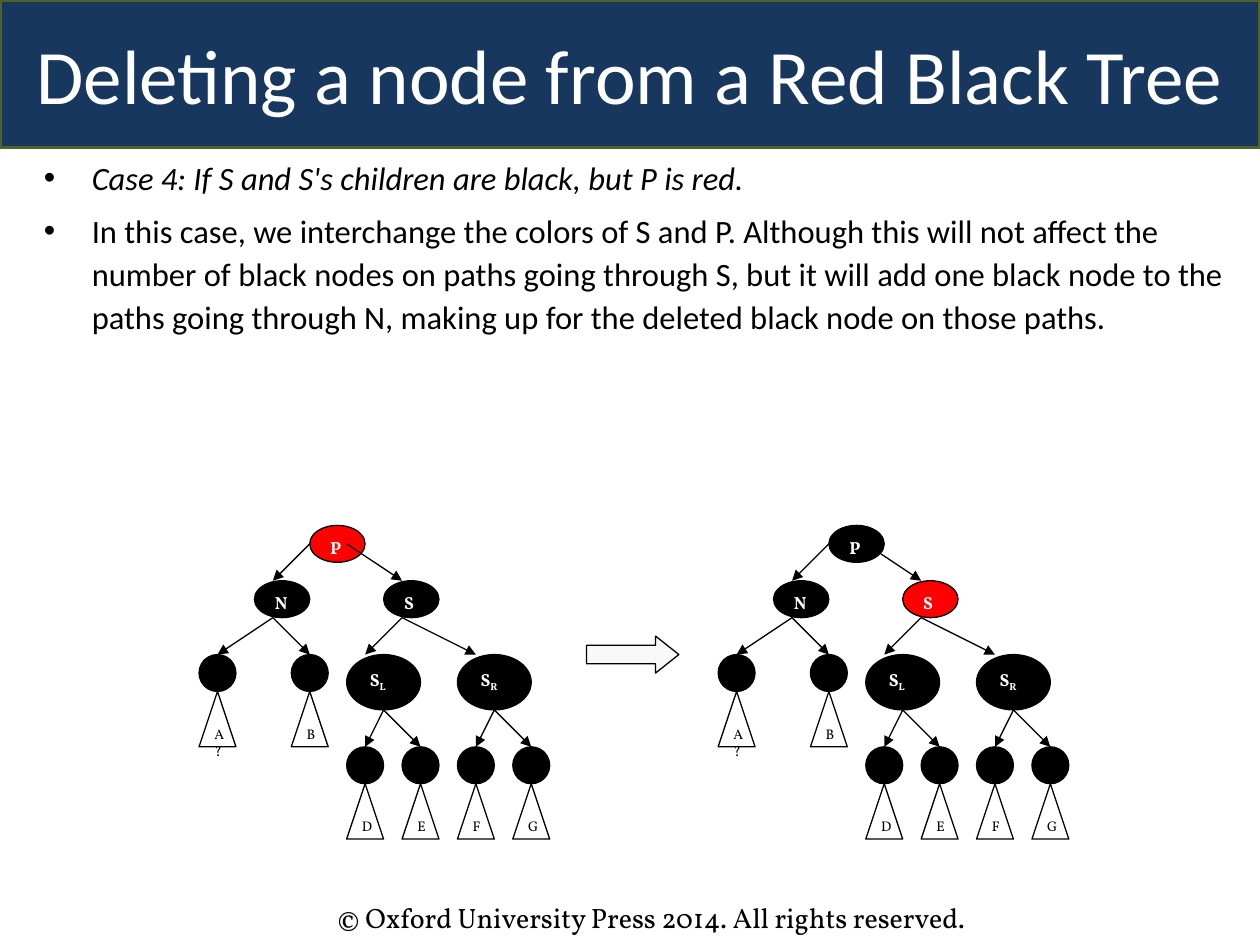
from lxml.etree import SubElement
from pptx import Presentation
from pptx.dml.color import RGBColor
from pptx.enum.shapes import MSO_CONNECTOR, MSO_SHAPE
from pptx.enum.text import MSO_ANCHOR, MSO_AUTO_SIZE, PP_ALIGN
from pptx.oxml.ns import qn
from pptx.util import Inches, Pt

TITLE = "Deleting a node from a Red Black Tree"
BULLETS = [
    ("Case 4: If S and S's children are black, but P is red.", True),
    ("In this case, we interchange the colors of S and P. Although this will not "
     "affect the number of black nodes on paths going through S, but it will add "
     "one black node to the paths going through N, making up for the deleted "
     "black node on those paths.", False),
]
FOOTER = "© Oxford University Press 2014. All rights reserved."

COLORS = {"banner": "17375E", "border": "4F6228", "black": "000000",
          "white": "FFFFFF", "red": "FF0000", "arrow": "F8F8F8"}

NODES = [
    ("P", "", 6, 0, 3, 2),
    ("N", "", 3, 3, 3, 2),
    ("S", "", 10, 3, 3, 2),
    ("S", "L", 8, 7, 4, 3),
    ("S", "R", 14, 7, 4, 3),
]
LEAVES = [("A?", 0, 7), ("B", 5, 7),
          ("D", 8, 12), ("E", 11, 12), ("F", 14, 12), ("G", 17, 12)]
EDGES = [
    ((6, 1), (4, 3)), ((8, 1), (11, 3)),
    ((4, 5), (1, 7)), ((4, 5), (6, 7)),
    ((11, 5), (9, 7)), ((11, 5), (15, 7)),
    ((10, 10), (9, 12)), ((10, 10), (12, 12)),
    ((16, 10), (15, 12)), ((16, 10), (18, 12)),
]
TREES = [(1.58, "P"), (5.7, "S")]
TOP = 4.17
CELL = 2.49 / 17


def rgb(name):
    return RGBColor.from_string(COLORS[name])


def style_font(paragraph, size, face, color, bold=False, italic=False):
    font = paragraph.font
    font.size, font.name = Pt(size), face
    font.bold, font.italic = bold, italic
    font.color.rgb = rgb(color)


def paint(shape, fill, line="black", width=0.75):
    shape.fill.solid()
    shape.fill.fore_color.rgb = rgb(fill)
    shape.line.color.rgb = rgb(line)
    shape.line.width = Pt(width)


def grid_point(left, col, row):
    return Inches(left + col * CELL), Inches(TOP + row * CELL)


def add_cell_shape(slide, kind, left, col, row, cols, rows, fill):
    shape = slide.shapes.add_shape(kind, *grid_point(left, col, row),
                                   Inches(cols * CELL), Inches(rows * CELL))
    shape.shadow.inherit = False
    paint(shape, fill)
    return shape


def label(shape, text, size, color, bold=False, subscript=""):
    shape.text_frame.vertical_anchor = MSO_ANCHOR.TOP
    paragraph = shape.text_frame.paragraphs[0]
    paragraph.alignment = PP_ALIGN.LEFT
    paragraph.add_run().text = text
    if subscript:
        run = paragraph.add_run()
        run.text = subscript
        run._r.get_or_add_rPr().set("baseline", "-25000")
    style_font(paragraph, size, "Vollkorn", color, bold)


def add_edge(slide, left, start, end):
    edge = slide.shapes.add_connector(MSO_CONNECTOR.STRAIGHT,
                                      *grid_point(left, *start), *grid_point(left, *end))
    edge.line.color.rgb = rgb("black")
    edge.line.width = Pt(0.75)
    SubElement(edge.line._get_or_add_ln(), qn("a:tailEnd"), type="triangle")
    SubElement(edge._element.spPr, qn("a:effectLst"))


def add_tree(slide, left, red_node):
    for name, subscript, *place in NODES:
        fill = "red" if name == red_node and not subscript else "black"
        node = add_cell_shape(slide, MSO_SHAPE.OVAL, left, *place, fill)
        label(node, name, 10, "white", True, subscript)
    for name, col, row in LEAVES:
        add_cell_shape(slide, MSO_SHAPE.OVAL, left, col, row, 2, 2, "black")
        subtree = add_cell_shape(slide, MSO_SHAPE.FLOWCHART_EXTRACT,
                                 left, col, row + 2, 2, 3, "white")
        label(subtree, name, 8, "black")
    for start, end in EDGES:
        add_edge(slide, left, start, end)


def add_title(slide, width):
    title = slide.shapes.title
    title.left, title.top, title.width, title.height = 0, 0, width, Inches(1.17)
    paint(title, "banner", "border", 2)
    title.text = TITLE
    title.text_frame.auto_size = MSO_AUTO_SIZE.NONE
    title.text_frame.vertical_anchor = MSO_ANCHOR.MIDDLE
    paragraph = title.text_frame.paragraphs[0]
    paragraph.alignment = PP_ALIGN.CENTER
    style_font(paragraph, 44, "Calibri", "white")


def add_text(slide, left, top, width, height):
    frame = slide.shapes.add_textbox(*map(Inches, (left, top, width, height))).text_frame
    frame.word_wrap = True
    return frame


def add_bullets(slide):
    frame = add_text(slide, 0.25, 1.17, 9.58, 1.58)
    for index, (text, italic) in enumerate(BULLETS):
        paragraph = frame.add_paragraph() if index else frame.paragraphs[0]
        paragraph.text = text
        paragraph.line_spacing = 1.1
        paragraph.space_before = Pt(6 if index else 0)
        properties = paragraph._p.get_or_add_pPr()
        properties.set("marL", str(Inches(0.38)))
        properties.set("indent", str(-Inches(0.38)))
        SubElement(properties, qn("a:buFont"), typeface="Arial")
        SubElement(properties, qn("a:buChar"), char="•")
        style_font(paragraph, 18.6, "Calibri", "black", italic=italic)


def add_footer(slide):
    paragraph = add_text(slide, 2.58, 7.1, 5.92, 0.37).paragraphs[0]
    paragraph.text = FOOTER
    style_font(paragraph, 16, "Vollkorn", "black")


def main():
    deck = Presentation()
    deck.slide_width, deck.slide_height = Inches(10), Inches(7.5)
    slide = deck.slides.add_slide(deck.slide_layouts[5])
    add_title(slide, deck.slide_width)
    add_bullets(slide)
    for left, red_node in TREES:
        add_tree(slide, left, red_node)
    arrow = add_cell_shape(slide, MSO_SHAPE.RIGHT_ARROW, TREES[0][0], 21, 6, 5, 2, "arrow")
    arrow.adjustments[1] = 0.63
    add_footer(slide)
    deck.save("out.pptx")


if __name__ == "__main__":
    main()
